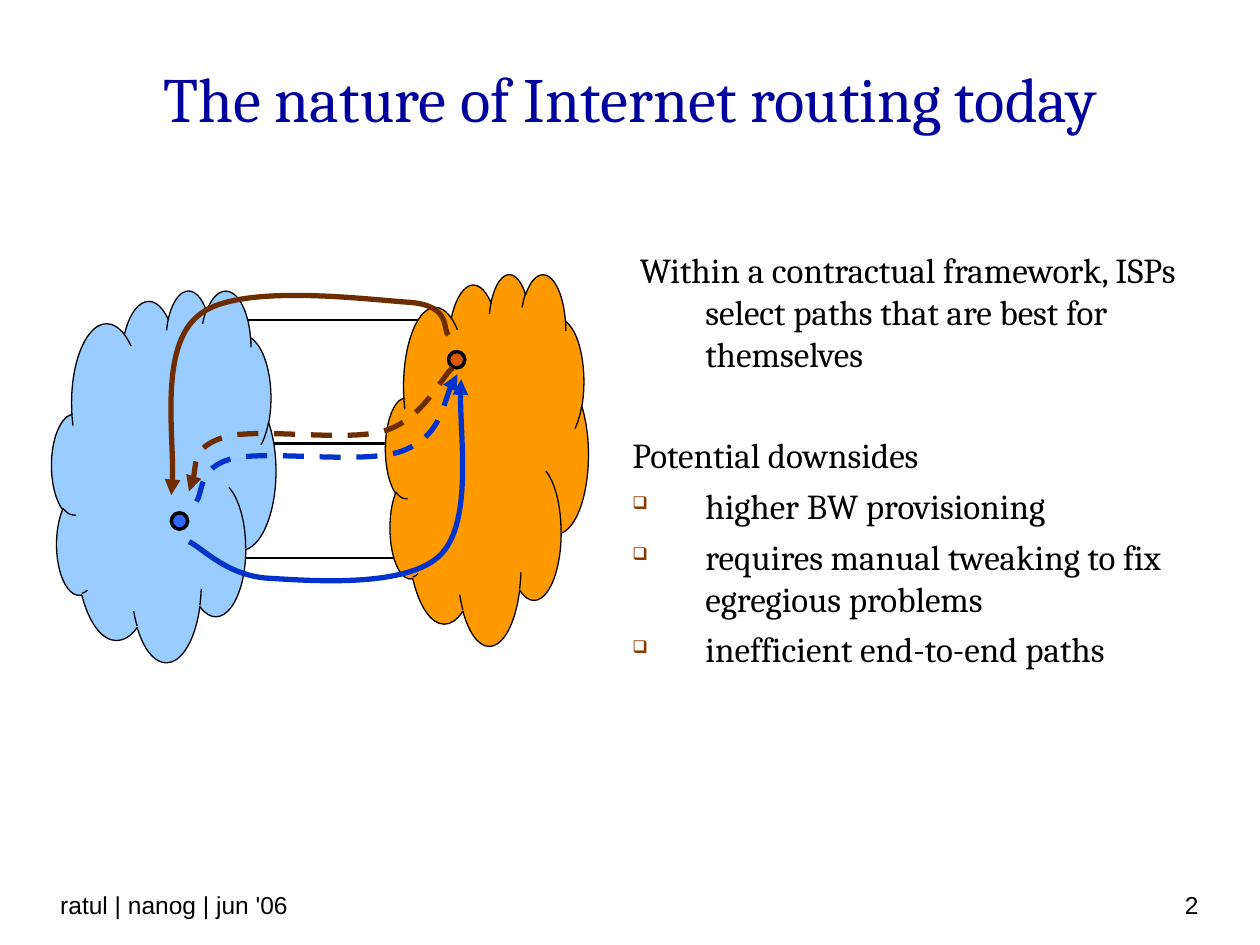
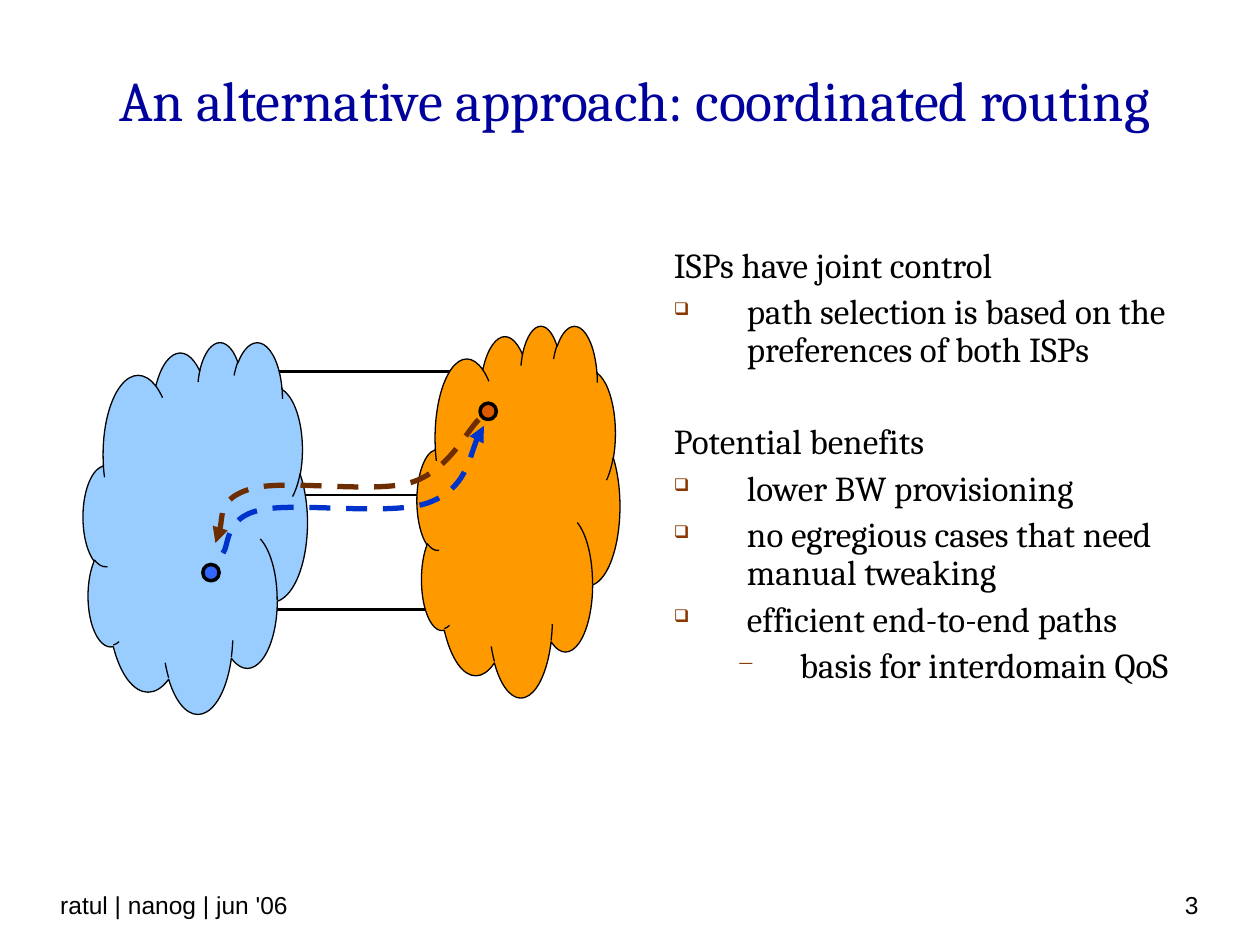
import pptx
import pptx.dml.color
import pptx.enum.dml
import pptx.enum.shapes
import pptx.enum.text
import pptx.oxml
import pptx.oxml.ns
import pptx.util

Inches = pptx.util.Inches
Shapes = pptx.enum.shapes.MSO_SHAPE
Align = pptx.enum.text.PP_ALIGN
Anchor = pptx.enum.text.MSO_ANCHOR

SERIF, SANS = "Cambria", "Arial"
BLACK, TITLE, BULLET = "000000", "00009C", "8A3800"
BLUE_CLOUD, ORANGE_CLOUD = "99CCFF", "FF9900"
BLUE_NODE, ORANGE_NODE = "3366FF", "DC5900"
BLUE_ROUTE, BROWN_ROUTE = "0033CC", "6E2D00"

# Paragraph styles: left margin, first-line indent, bullet, bullet size in %
STYLES = {
    "plain": (0.58, -0.58, None, None),
    "item": (0.58, -0.58, "❑", 50),
    "subitem": (1, -0.5, "−", 65),
}

# Route curves: a start point, then three points for each Bézier segment
DIRECT_FROM_BLUE = [
    (0.06, 1.06), (0.11, 1), (0.07, 0.78), (0.35, 0.72),
    (0.62, 0.65), (1.39, 0.77), (1.69, 0.66),
    (1.99, 0.55), (2.04, 0.17), (2.13, 0.05)]
DIRECT_FROM_ORANGE = [
    (2.09, 0), (2, 0.08), (1.85, 0.41), (1.55, 0.5),
    (1.25, 0.59), (0.54, 0.47), (0.28, 0.55),
    (0.02, 0.63), (0.06, 0.89), (0, 0.98)]
DETOUR_FROM_BLUE = [
    (1.09, 2.13), (1.2, 2.18), (1.39, 2.4), (1.72, 2.42),
    (2.06, 2.44), (2.83, 2.5), (3.09, 2.23),
    (3.34, 1.97), (3.22, 1.13), (3.25, 0.84)]
DETOUR_FROM_ORANGE = [
    (3.15, 0.49), (3.1, 0.45), (3.18, 0.26), (2.85, 0.23),
    (2.52, 0.21), (1.48, 0.07), (1.17, 0.33),
    (0.85, 0.58), (1, 1.46), (0.95, 1.76)]


def color(value):
    return pptx.dml.color.RGBColor.from_string(value)


def add_xml(parent, tag, **attributes):
    child = pptx.oxml.parse_xml(
        f"<a:{tag} {pptx.oxml.ns.nsdecls('a')}/>")
    for name, value in attributes.items():
        child.set(name, str(value))
    parent.append(child)
    return child


def format_line(line, value, width):
    line.color.rgb = color(value)
    line.width = pptx.util.Pt(width)


def format_runs(para, font, size, value):
    for span in para.runs:
        span.font.name = font
        span.font.size = pptx.util.Pt(size)
        span.font.color.rgb = color(value)


def add_text_box(page, left, top, width, height, anchor):
    box = page.shapes.add_textbox(
        Inches(left), Inches(top), Inches(width), Inches(height))
    box.text_frame.word_wrap = True
    box.text_frame.vertical_anchor = anchor
    return box.text_frame


def add_label(page, area, text, font, size, value, align, anchor):
    frame = add_text_box(page, *area, anchor)
    frame.text = text
    frame.paragraphs[0].alignment = align
    format_runs(frame.paragraphs[0], font, size, value)


def add_title(page, area, text, size):
    add_label(page, area, text, SERIF, size, TITLE, Align.CENTER, Anchor.MIDDLE)


def add_footer(page, number):
    for left, width, text, align in (
            (7.28, 2.33, str(number), Align.RIGHT),
            (0.38, 4.03, "ratul | nanog | jun '06", Align.LEFT)):
        add_label(page, (left, 6.83, width, 0.52), text, SANS, 14, BLACK,
                  align, Anchor.BOTTOM)


def add_body(page, area, entries, spacing, section_gap):
    """Entries are (style, text, starts a new section)."""
    frame = add_text_box(page, *area, Anchor.TOP)
    for index, (style, text, new_section) in enumerate(entries):
        para = frame.add_paragraph() if index else frame.paragraphs[0]
        para.text = text
        format_runs(para, SERIF, 20, BLACK)
        para.line_spacing = spacing
        para.space_before = pptx.util.Pt(section_gap if new_section else 5)
        margin, indent, bullet, bullet_size = STYLES[style]
        props = para._p.get_or_add_pPr()
        props.set("marL", str(Inches(margin)))
        props.set("indent", str(Inches(indent)))
        if bullet:
            add_xml(add_xml(props, "buClr"), "srgbClr", val=BULLET)
            add_xml(props, "buSzPct", val=bullet_size * 1000)
            add_xml(props, "buChar", char=bullet)
        else:
            add_xml(props, "buNone")


def add_filled(page, kind, left, top, width, height, fill):
    shape = page.shapes.add_shape(
        kind, Inches(left), Inches(top), Inches(width), Inches(height))
    shape.shadow.inherit = False
    shape.fill.solid()
    shape.fill.fore_color.rgb = color(fill)
    return shape


def add_cloud(page, left, top, width, fill):
    cloud = add_filled(page, Shapes.CLOUD_CALLOUT, left, top, width, 2.95, fill)
    cloud.adjustments[0], cloud.adjustments[1] = 0.045, -0.036
    format_line(cloud.line, BLACK, 0.75)
    # Patch that hides the callout bubbles
    patch = add_filled(page, Shapes.OVAL, left + 0.36 * width, top + 0.47,
                       0.59 * width, 1.03, fill)
    patch.rotation = 148.7
    patch.line.fill.background()


def add_networks(page, left, top):
    # Links between the two networks
    for start, end, height in ((1.51, 2.78, 1.35), (1.12, 2.97, 2.26),
                               (1.53, 3.06, 0.37)):
        link = page.shapes.add_connector(
            pptx.enum.shapes.MSO_CONNECTOR.STRAIGHT,
            Inches(left + start), Inches(top + height),
            Inches(left + end), Inches(top + height))
        format_line(link.line, BLACK, 1.5)
        add_xml(link._element.spPr, "effectLst")
    add_cloud(page, left, top + 0.13, 1.78, BLUE_CLOUD)
    add_cloud(page, left + 2.65, top, 1.61, ORANGE_CLOUD)
    # Traffic endpoints
    for x, y, fill in ((0.95, 1.9, BLUE_NODE), (3.15, 0.62, ORANGE_NODE)):
        node = add_filled(page, Shapes.OVAL, left + x, top + y, 0.13, 0.13, fill)
        format_line(node.line, BLACK, 2)


def add_route(page, left, top, points, value, dashed=False):
    corners = [(Inches(left + x), Inches(top + y)) for x, y in points]
    builder = page.shapes.build_freeform(*corners[0])
    builder.add_line_segments(corners[1:], close=False)
    route = builder.convert_to_shape()
    # Turn each three straight segments into one Bézier segment
    segments = route._element.xpath(".//a:lnTo")
    outline = segments[0].getparent()
    for first in range(0, len(segments), 3):
        curve = add_xml(outline, "cubicBezTo")
        for segment in segments[first:first + 3]:
            curve.append(segment[0])
            outline.remove(segment)
    route.shadow.inherit = False
    route.fill.background()
    format_line(route.line, value, 3)
    if dashed:
        route.line.dash_style = pptx.enum.dml.MSO_LINE.DASH
    add_xml(route.line._get_or_add_ln(), "tailEnd", type="triangle")


def add_direct_routes(page, left, top):
    add_route(page, left, top, DIRECT_FROM_BLUE, BLUE_ROUTE, dashed=True)
    add_route(page, left, top, DIRECT_FROM_ORANGE, BROWN_ROUTE, dashed=True)


def add_detours(page, left, top):
    add_route(page, left, top, DETOUR_FROM_BLUE, BLUE_ROUTE)
    add_route(page, left, top, DETOUR_FROM_ORANGE, BROWN_ROUTE)


def build_routing_today(page):
    add_title(page, (0.5, 0.3, 9, 0.95),
              "The nature of Internet routing today", 36)
    add_networks(page, 0.41, 2.17)
    add_detours(page, 0.41, 2.17)
    add_body(page, (4.92, 1.92, 4.67, 3.58), [
        ("plain", " Within a contractual framework, ISPs select paths "
                  "that are best for themselves", False),
        ("plain", "Potential downsides", True),
        ("item", "higher BW provisioning", False),
        ("item", "requires manual tweaking to fix egregious problems", False),
        ("item", "inefficient end-to-end paths", False),
    ], 1.0, 34)
    add_direct_routes(page, 1.5, 2.92)
    add_footer(page, 2)


def build_coordinated_routing(page):
    add_title(page, (0.5, 0.33, 9.08, 0.92),
              "An alternative approach: coordinated routing", 32)
    add_networks(page, 0.66, 2.58)
    add_direct_routes(page, 1.71, 3.33)
    add_body(page, (5.25, 1.92, 4.58, 4.25), [
        ("plain", "ISPs have joint control", False),
        ("item", "path selection is based on the preferences of both ISPs",
         False),
        ("plain", "Potential benefits", True),
        ("item", "lower BW provisioning", False),
        ("item", "no egregious cases that need manual tweaking", False),
        ("item", "efficient end-to-end paths", False),
        ("subitem", "basis for interdomain QoS", False),
    ], 0.9, 31)
    add_footer(page, 3)


def main():
    deck = pptx.Presentation()
    deck.slide_width, deck.slide_height = Inches(10), Inches(7.5)
    for build in (build_routing_today, build_coordinated_routing):
        build(deck.slides.add_slide(deck.slide_layouts[6]))
    deck.save("out.pptx")


if __name__ == "__main__":
    main()
